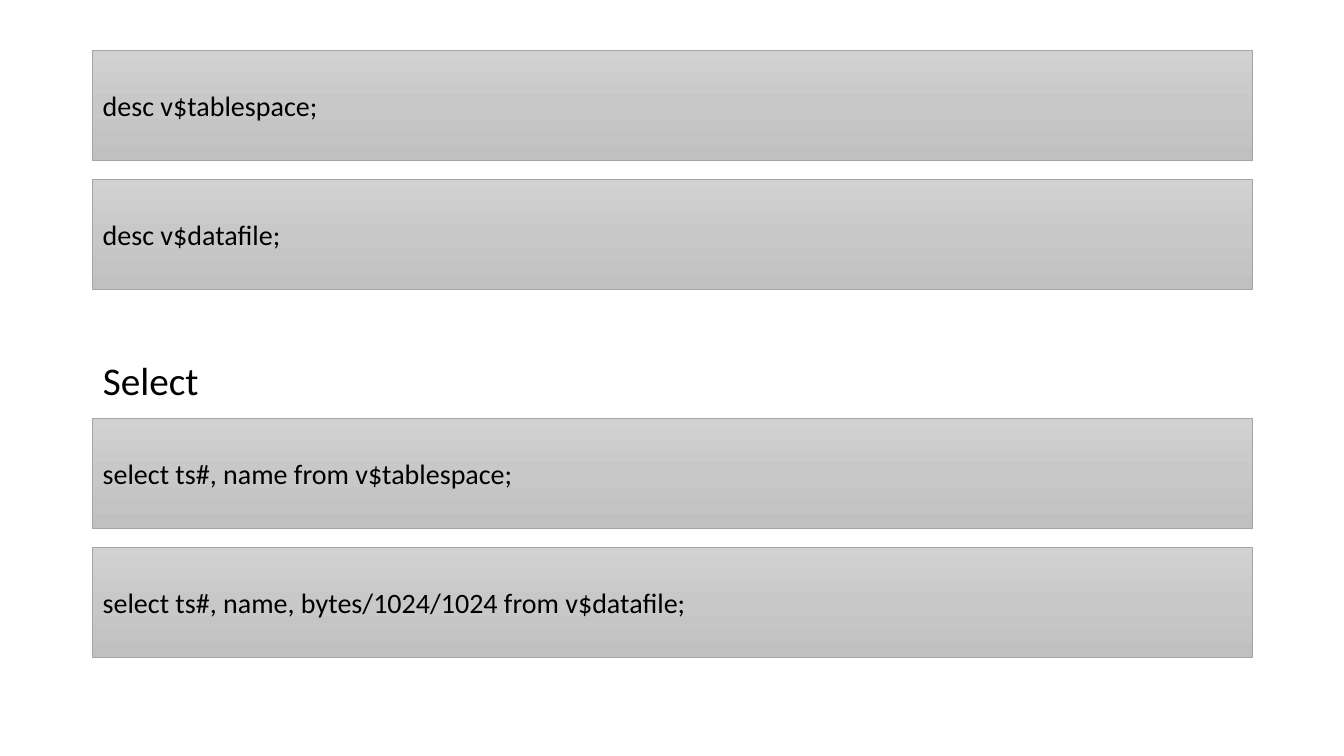
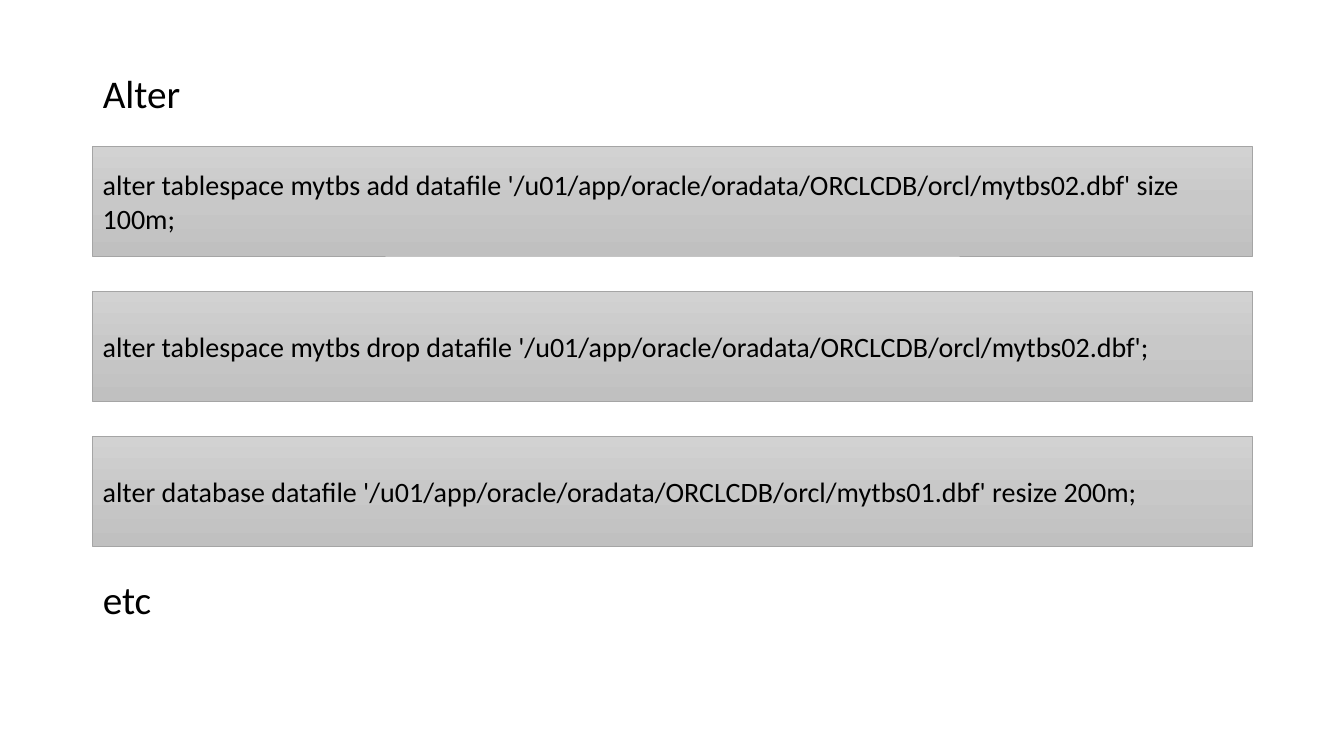
from copy import deepcopy
from dataclasses import dataclass

from lxml import etree
from pptx import Presentation
from pptx import util as u
from pptx.dml import color
from pptx.enum import shapes, text
from pptx.oxml import ns


@dataclass(frozen=True)
class Theme:
    font: str = "Calibri"
    ink: str = "000000"
    edge: str = "A5A5A5"
    gradient: tuple = ((0, "D2D2D2"), (0.5, "C8C8C8"), (1, "C0C0C0"))
    heading_size: int = 28
    code_size: int = 20
    left: float = 0.92
    width: float = 11.5
    code_height: float = 1.09


def apply(target, values):
    for name, value in values.items():
        setattr(target, name, value)


class CodeDeck:
    """Builds slides of headings and SQL boxes in one style."""

    def __init__(self, theme):
        self.theme = theme
        self.deck = Presentation()
        apply(self.deck, {"slide_width": u.Inches(13.33), "slide_height": u.Inches(7.5)})
        self.page = None

    def add_page(self):
        self.page = self.deck.slides.add_slide(self.deck.slide_layouts[1])
        title = self.page.shapes.title._element
        title.getparent().remove(title)

    def add_words(self, para, words, size):
        span = para.add_run()
        span.text = words
        apply(span.font, {"name": self.theme.font, "size": u.Pt(size)})
        span.font.color.rgb = color.RGBColor.from_string(self.theme.ink)

    def headings(self, top, height, lines):
        body = self.page.placeholders[1]
        apply(body, {
            "left": u.Inches(self.theme.left), "top": u.Inches(top),
            "width": u.Inches(self.theme.width), "height": u.Inches(height),
        })
        frame = body.text_frame
        apply(frame, {
            "word_wrap": True, "auto_size": text.MSO_AUTO_SIZE.NONE,
            "vertical_anchor": text.MSO_ANCHOR.TOP,
        })
        for index, (words, space) in enumerate(lines):
            para = frame.add_paragraph() if index else frame.paragraphs[0]
            settings = para._p.get_or_add_pPr()
            settings.set("marL", "0")
            settings.set("indent", "0")
            etree.SubElement(settings, ns.qn("a:buNone"))
            apply(para, {"line_spacing": 0.9, "space_before": u.Pt(space)})
            self.add_words(para, words, self.theme.heading_size)

    def code_box(self, top, statement):
        box = self.page.shapes.add_shape(
            shapes.MSO_SHAPE.RECTANGLE, u.Inches(self.theme.left), u.Inches(top),
            u.Inches(self.theme.width), u.Inches(self.theme.code_height))
        box.shadow.inherit = False
        self.shade(box)
        box.line.color.rgb = color.RGBColor.from_string(self.theme.edge)
        box.line.width = u.Pt(0.5)
        frame = box.text_frame
        apply(frame, {"word_wrap": True, "vertical_anchor": text.MSO_ANCHOR.MIDDLE})
        para = frame.paragraphs[0]
        para.alignment = text.PP_ALIGN.LEFT
        self.add_words(para, statement, self.theme.code_size)

    def shade(self, box):
        box.fill.gradient()
        box.fill.gradient_angle = 270
        stop_list = box._element.spPr.find(".//" + ns.qn("a:gsLst"))
        stop_list.append(deepcopy(stop_list[0]))
        for stop, (position, shade) in zip(box.fill.gradient_stops, self.theme.gradient):
            stop.position = position
            stop.color.rgb = color.RGBColor.from_string(shade)

    def code_stack(self, top, pitch, statements):
        for index, statement in enumerate(statements):
            self.code_box(top + index * pitch, statement)


def main():
    show = CodeDeck(Theme())

    show.add_page()
    show.headings(3.54, 0.6, [("Select", 0)])
    show.code_stack(0.5, 1.28, ["desc v$tablespace;", "desc v$datafile;"])
    show.code_stack(4.15, 1.28, [
        "select ts#, name from v$tablespace;",
        "select ts#, name, bytes/1024/1024 from v$datafile;",
    ])

    show.add_page()
    show.headings(0.69, 6.12, [("Alter", 0), ("etc", 331.5)])
    show.code_stack(1.45, 1.44, [
        "alter tablespace mytbs add datafile '/u01/app/oracle/oradata/ORCLCDB/orcl/mytbs02.dbf' size 100m;",
        "alter tablespace mytbs drop datafile '/u01/app/oracle/oradata/ORCLCDB/orcl/mytbs02.dbf';",
        "alter database datafile '/u01/app/oracle/oradata/ORCLCDB/orcl/mytbs01.dbf' resize 200m;",
    ])

    show.deck.save("out.pptx")


if __name__ == "__main__":
    main()
